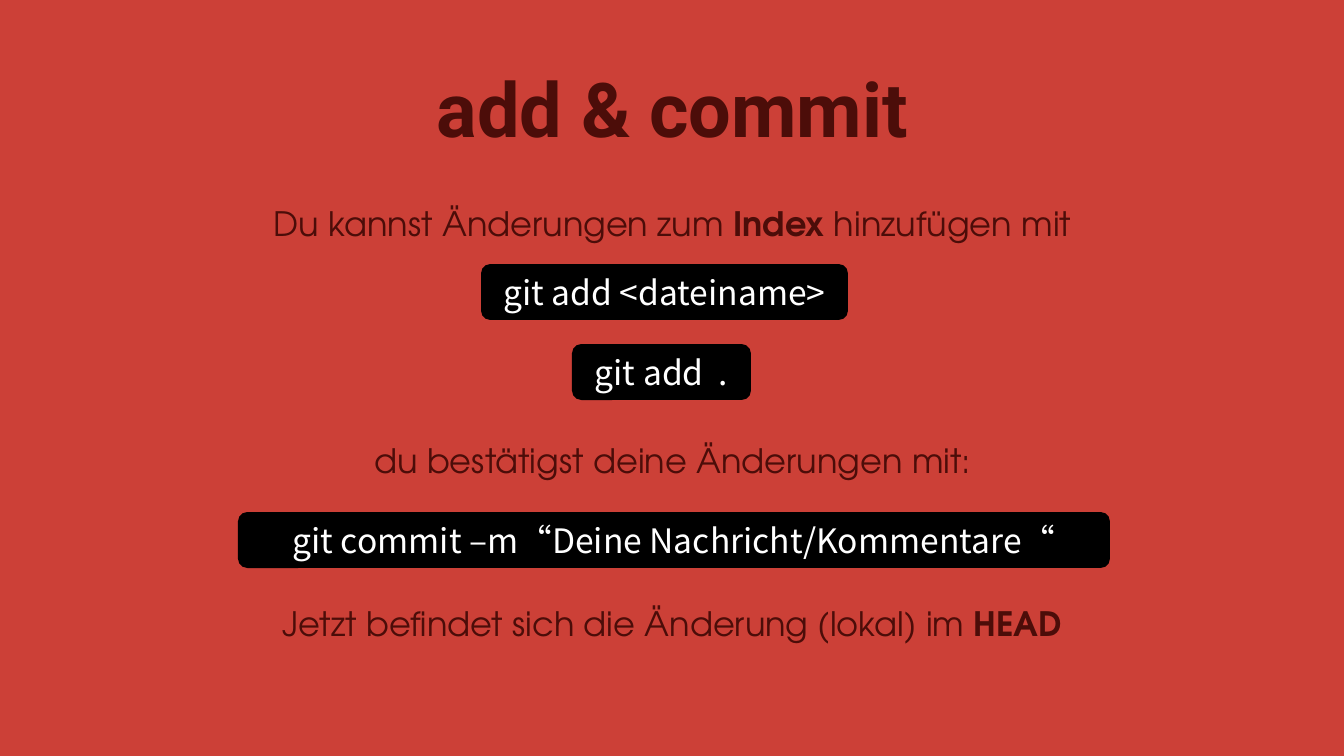
from dataclasses import dataclass

from lxml.etree import SubElement
from pptx import Presentation
from pptx.dml.color import RGBColor
from pptx.enum.shapes import MSO_SHAPE
from pptx.enum.text import MSO_ANCHOR, PP_ALIGN
from pptx.oxml.ns import qn
from pptx.util import Pt

PX = 9071  # EMU per pixel, 100.8 pixels to the inch


@dataclass(frozen=True)
class Theme:
    """Colours, fonts and type sizes of the slide."""
    ground: RGBColor = RGBColor(0xCC, 0x40, 0x37)
    ink: RGBColor = RGBColor(0x4C, 0x0D, 0x09)
    code_fill: RGBColor = RGBColor(0, 0, 0)
    code_ink: RGBColor = RGBColor(0xFF, 0xFF, 0xFF)
    title_font: str = "Roboto"
    body_font: str = "TeX Gyre Adventor"
    code_font: str = "Noto Sans CJK TC"
    title_size: int = 54
    text_size: int = 24


T = Theme()
TITLE = dict(name=T.title_font, size=Pt(T.title_size), bold=True)
BODY = dict(name=T.body_font, size=Pt(T.text_size))
CODE = dict(name=T.code_font, size=Pt(T.text_size))


def emu(box):
    """Turn a pixel box into EMU lengths."""
    return [v * PX for v in box]


def set_attrs(obj, fmt):
    """Set each attribute named in a format dict."""
    for key, value in fmt.items():
        setattr(obj, key, value)


def add_run(p, text, fmt, color):
    """Append a formatted run, with its font for East Asian marks too."""
    r = p.add_run()
    r.text = text
    set_attrs(r.font, fmt)
    r.font.color.rgb = color
    SubElement(r.font._element, qn("a:ea"), typeface=fmt["name"])


def add_text(s, box, paragraphs, fmt, anchor):
    """Place centred paragraphs, each a space before and (text, bold) runs."""
    tf = s.shapes.add_textbox(*emu(box)).text_frame
    set_attrs(tf, dict(word_wrap=True, vertical_anchor=anchor))
    for i, (space, runs) in enumerate(paragraphs):
        p = tf.add_paragraph() if i else tf.paragraphs[0]
        set_attrs(p, dict(alignment=PP_ALIGN.CENTER, line_spacing=0.9,
                          space_before=Pt(space)))
        for text, bold in runs:
            add_run(p, text, {**fmt, "bold": bold}, T.ink)


def add_command(s, box, text):
    """Place one command on a rounded black bar."""
    sp = s.shapes.add_shape(MSO_SHAPE.ROUNDED_RECTANGLE, *emu(box))
    sp.shadow.inherit = False
    sp.fill.solid()
    sp.fill.fore_color.rgb = T.code_fill
    sp.line.fill.background()
    tf = sp.text_frame
    set_attrs(tf, dict(word_wrap=True, vertical_anchor=MSO_ANCHOR.MIDDLE))
    p = tf.paragraphs[0]
    p.alignment = PP_ALIGN.CENTER
    add_run(p, text, CODE, T.code_ink)


def command_slide(prs, box, title, explanation, commands):
    """Build a slide with a title, explanations and command bars in a box."""
    s = prs.slides.add_slide(prs.slide_layouts[6])
    s.background.fill.solid()
    s.background.fill.fore_color.rgb = T.ground
    x, y, w, h = box
    title_h, body_y, bar_h = 146, 162, 56
    add_text(s, (x, y, w, title_h), [(0, [(title, True)])], TITLE,
             MSO_ANCHOR.MIDDLE)
    add_text(s, (x, y + body_y, w, h - body_y), explanation, BODY,
             MSO_ANCHOR.TOP)
    for dx, dy, bar_w, text in commands:
        add_command(s, (x + dx, y + dy, bar_w, bar_h), text)


prs = Presentation()
set_attrs(prs, dict(slide_width=1344 * PX, slide_height=756 * PX))
command_slide(
    prs, (93, 40, 1159, 641), "add & commit",
    [(10, [("Du kannst Änderungen zum ", False), ("Index", True),
           (" hinzufügen mit", False)]),
     (144, [("du bestätigst deine Änderungen mit:", False)]),
     (90.5, [("Jetzt befindet sich die Änderung (lokal) im\u00a0", False),
             ("HEAD", True)])],
    [(388, 224, 367, "git add <dateiname>"),
     (479, 304, 179, "git add  ."),
     (145, 472, 872, "git commit –m“Deine Nachricht/Kommentare“")])
prs.save("out.pptx")
